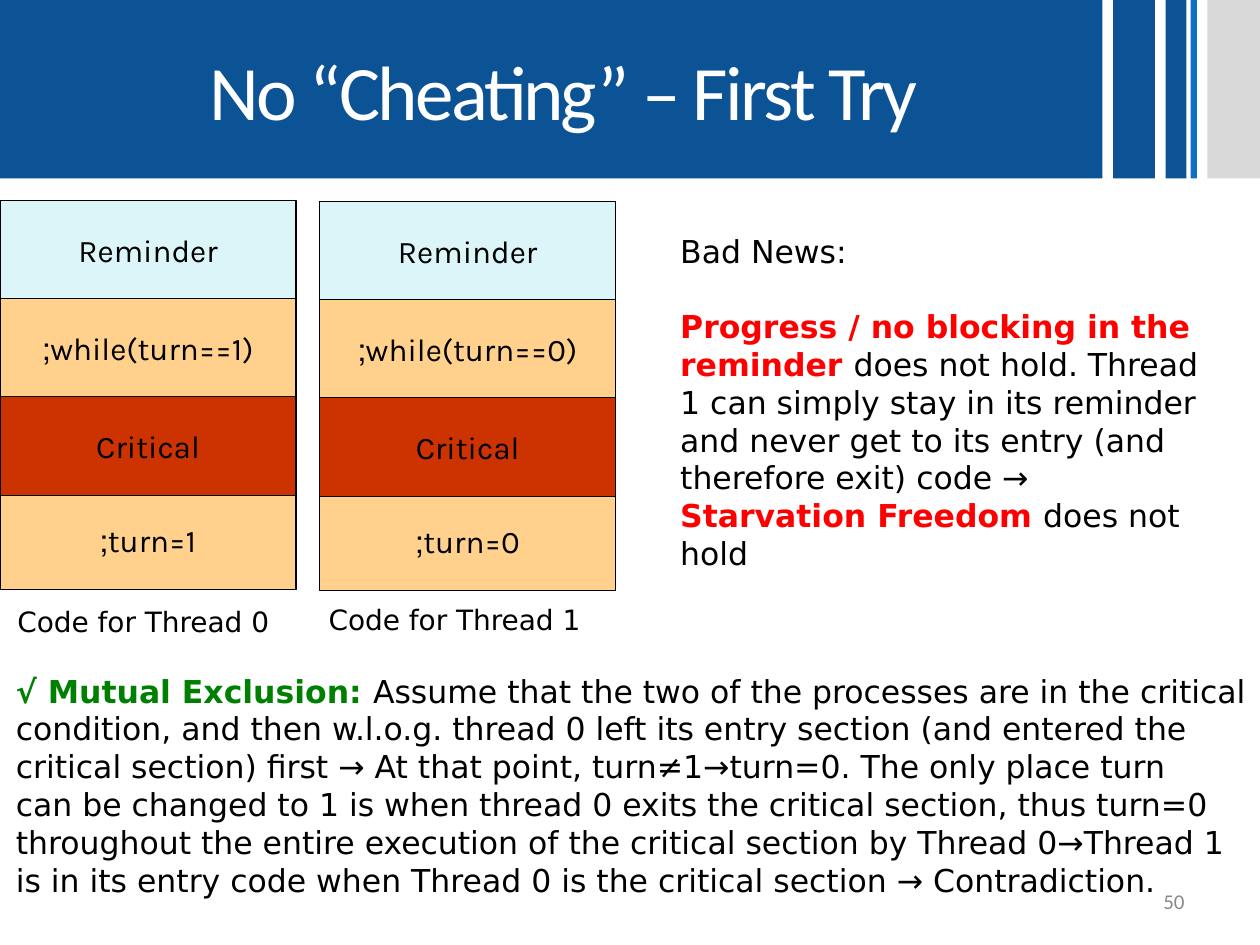
from lxml.etree import SubElement
from pptx import Presentation
from pptx.dml.color import RGBColor
from pptx.enum.shapes import MSO_SHAPE
from pptx.enum.text import MSO_ANCHOR, MSO_AUTO_SIZE, PP_ALIGN
from pptx.util import Pt

COLORS = {
    "band": "0B5394", "accent": "0F6FC6", "silver": "D9D9D9",
    "white": "FFFFFF", "black": "000000", "number": "898989",
    "reminder": "DBF5F9", "turn": "FFD18D", "critical": "CC3300",
    "good": "008000", "bad": "FF0000",
}
BODY_FONT = "DejaVu Sans"
BAND_HEIGHT = 102


def rgb(name):
    return RGBColor.from_string(COLORS[name])


def format_font(font, name, size, color, bold=False):
    font.name = name
    font.size = Pt(size)
    font.color.rgb = rgb(color)
    font.bold = bold


def add_box(slide, left, top, width, height, fill, outline=None):
    shape = slide.shapes.add_shape(
        MSO_SHAPE.RECTANGLE, Pt(left), Pt(top), Pt(width), Pt(height))
    shape.shadow.inherit = False
    shape.fill.solid()
    shape.fill.fore_color.rgb = rgb(fill)
    if outline:
        shape.line.color.rgb = rgb(outline)
        shape.line.width = Pt(0.75)
    else:
        shape.line.fill.background()
    return shape


def add_text(slide, left, top, width, height, paragraphs, size=18,
             font=BODY_FONT, wrap=False, gap=0):
    text_box = slide.shapes.add_textbox(Pt(left), Pt(top), Pt(width), Pt(height))
    text_frame = text_box.text_frame
    text_frame.word_wrap = wrap
    for index, pieces in enumerate(paragraphs):
        paragraph = text_frame.add_paragraph() if index else text_frame.paragraphs[0]
        if index:
            paragraph.space_before = Pt(gap)
        for text, color, bold in pieces:
            for line_index, line in enumerate(text.split("\n")):
                if line_index:
                    paragraph.add_line_break()
                run = paragraph.add_run()
                run.text = line
                format_font(run.font, font, size, color, bold)
    return text_frame


def add_header(slide, left, top, width, height):
    for offset, stripe_width, color in [
        (636, 24, "band"), (666, 12, "band"), (680.4, 3.6, "accent"), (690, 30, "silver"),
    ]:
        add_box(slide, left + offset, top, stripe_width, height, color)
    title = slide.shapes.title
    title.left, title.top = Pt(left), Pt(top)
    title.width, title.height = Pt(width), Pt(height)
    title.fill.solid()
    title.fill.fore_color.rgb = rgb("band")
    text_frame = title.text_frame
    text_frame.text = "No “Cheating” – First Try"
    text_frame.auto_size = MSO_AUTO_SIZE.NONE
    text_frame.vertical_anchor = MSO_ANCHOR.MIDDLE
    text_frame.margin_left = Pt(21.6)
    paragraph = text_frame.paragraphs[0]
    paragraph.alignment = PP_ALIGN.CENTER
    run = paragraph.runs[0]
    format_font(run.font, "Calibri", 44, "white")
    run._r.get_or_add_rPr().set("spc", "-150")


def add_thread(slide, left, top, width, thread, caption_left, caption_top):
    other = 1 - thread
    for offset, text, fill in [
        (0, "Reminder", "reminder"),
        (165.6, f"turn={other};", "turn"),
        (56, f"while(turn=={other});", "turn"),
        (112, "Critical", "critical"),
    ]:
        shape = add_box(slide, left, top + offset, width, 56.7, fill, "black")
        text_frame = shape.text_frame
        text_frame.text = text
        text_frame.word_wrap = False
        text_frame.vertical_anchor = MSO_ANCHOR.MIDDLE
        paragraph = text_frame.paragraphs[0]
        paragraph.alignment = PP_ALIGN.CENTER
        paragraph._p.get_or_add_pPr().set("rtl", "1")
        format_font(paragraph.runs[0].font, "Karla", 18, "black")
    add_text(slide, left + caption_left, top + caption_top, 161.3, 26.6,
             [[(f"Code for Thread {thread}", "black", False)]], size=16)


def add_bad_news(slide, left, top, width, height):
    add_text(slide, left, top, width, height, [
        [("Bad News:", "black", False)],
        [
            ("Progress / no blocking in the reminder ", "bad", True),
            ("does not hold. Thread 1 can simply stay in its reminder and never get "
             "to its entry (and therefore exit) code → ", "black", False),
            ("Starvation Freedom ", "bad", True),
            ("does not hold", "black", False),
        ],
    ], wrap=True, gap=21.5)


def add_proof(slide, left, top, width, height):
    add_text(slide, left, top, width, height, [
        [
            ("√ Mutual Exclusion: ", "good", True),
            ("Assume that the two of the processes are in the critical\n"
             "condition, and then w.l.o.g. thread 0 left its entry section "
             "(and entered the", "black", False),
        ],
        [
            ("critical section) first → At that point, turn≠1→turn=0. The only place turn \n"
             "can be changed to 1 is when thread 0 exits the critical section, thus turn=0\n"
             "throughout the entire execution of the critical section by Thread 0→Thread 1 \n"
             "is in its entry code when Thread 0 is the critical section → Contradiction.",
             "black", False),
        ],
    ])


def add_page_number(slide, left, top, width, height):
    text_frame = add_text(slide, left, top, width, height,
                          [[("50", "number", False)]], size=12, font="Calibri", wrap=True)
    text_frame.vertical_anchor = MSO_ANCHOR.MIDDLE
    text_frame.paragraphs[0].alignment = PP_ALIGN.RIGHT


def main():
    presentation = Presentation()
    presentation.slide_width, presentation.slide_height = Pt(720), Pt(540)
    slide = presentation.slides.add_slide(presentation.slide_layouts[5])
    slide.background.fill.solid()
    slide.background.fill.fore_color.rgb = rgb("white")
    add_header(slide, 0, 0, 630, BAND_HEIGHT)
    add_page_number(slide, 516, 500.4, 168, 28.8)
    add_thread(slide, 0, 114.5, 169.2, 0, 2.9, 227.5)
    add_thread(slide, 182.6, 115, 169.2, 1, -1.9, 225.5)
    add_proof(slide, 2, 380.2, 729.4, 159.8)
    add_bad_news(slide, 381.6, 128.9, 315.4, 203.8)
    presentation.save("out.pptx")


if __name__ == "__main__":
    main()
